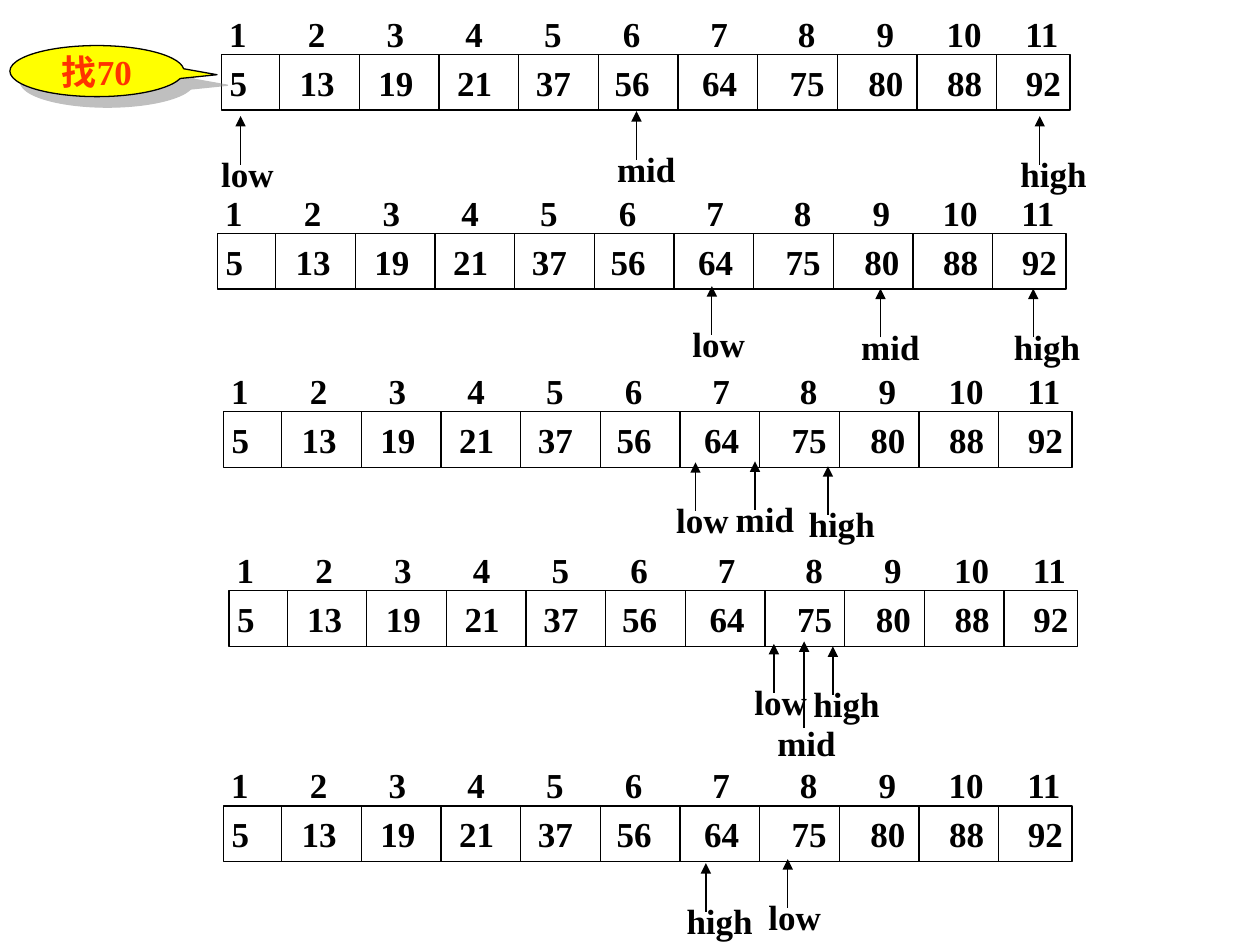
"""Draw the five steps of a binary search for 70."""
from dataclasses import dataclass
from itertools import accumulate

from lxml.etree import SubElement as Sub
from pptx import Presentation
from pptx.dml.color import RGBColor as Color
from pptx.enum.shapes import MSO_CONNECTOR as Link, MSO_SHAPE as Kind
from pptx.enum.text import MSO_ANCHOR as Anchor, PP_ALIGN as Align
from pptx.oxml.ns import qn
from pptx.util import Cm, Pt


@dataclass(frozen=True)
class Theme:
    """Colours, font and sizes."""
    ink: Color = Color(0, 0, 0)
    hot: Color = Color(0xFF, 0x33, 0x00)
    glow: Color = Color(0xFF, 0xFF, 0x00)
    shade: str = "808080"
    font: str = "Times New Roman"
    size: float = 20
    rule: float = 0.75


@dataclass(frozen=True)
class Mark:
    """A named arrow whose tip is at x, y."""
    name: str
    x: float
    y: float
    shaft: float = 0.98
    shift: float = -0.64
    drop: float = 0.61


@dataclass(frozen=True)
class Step:
    """One state of the array with its marks."""
    x: float
    y: float
    marks: tuple[Mark, ...]


THEME = Theme()
KEYS = [5, 13, 19, 21, 37, 56, 64, 75, 80, 88, 92]
KEY_GAPS = [8, 9, 9, 9, 9, 10, 10, 9, 9, 9]
SPOTS = range(1, len(KEYS) + 1)
SPOT_GAPS = [9, 9, 9, 9, 9, 10, 10, 9, 8, 9]
SPANS = {"low": 1.55, "mid": 1.68, "high": 1.83}
WIDE, HIGH = 17.1, 1.12
FIRST, LAST = 1.17, 1.48
PITCH = (WIDE - FIRST - LAST) / (len(KEYS) - 2)
STEPS = [
    Step(4.47, 1.1, (Mark("low", 4.85, 2.34), Mark("high", 20.96, 2.34),
                     Mark("mid", 12.83, 2.24))),
    Step(4.39, 4.71, (Mark("low", 14.35, 5.77), Mark("high", 20.83, 5.82),
                      Mark("mid", 17.75, 5.82))),
    Step(4.51, 8.3, (Mark("low", 14.02, 9.32), Mark("high", 16.69, 9.4),
                     Mark("mid", 15.22, 9.3))),
    Step(4.62, 11.91, (Mark("low", 15.6, 12.98), Mark("high", 16.79, 13.03),
                       Mark("mid", 16.21, 12.93, 1.75, -0.79, 1.5))),
    Step(4.51, 16.25, (Mark("low", 15.88, 17.32), Mark("high", 14.23, 17.4))),
]


def write(shape, text: str, color: Color = THEME.ink, wrap: bool = False) -> None:
    """Put bold text in a shape."""
    frame = shape.text_frame
    frame.text = text
    frame.word_wrap = wrap
    for run in frame.paragraphs[0].runs:
        font = run.font
        font.name, font.size, font.bold = THEME.font, Pt(THEME.size), True
        font.color.rgb = color


def spread(shape, items, gaps: list[int]) -> None:
    """Write items at tab stops counted in quarter ems."""
    write(shape, "\t".join(map(str, items)), wrap=True)
    para = shape.text_frame.paragraphs[0]
    para.alignment = Align.LEFT
    tabs = Sub(para._p.get_or_add_pPr(), qn("a:tabLst"))
    unit = THEME.size / 4 * 2.54 / 72
    for stop in accumulate(gaps):
        Sub(tabs, qn("a:tab"), pos=str(Cm(stop * unit)), algn="l")


def edge(shape) -> None:
    """Give a shape or line the common outline."""
    shape.line.color.rgb = THEME.ink
    shape.line.width = Pt(THEME.rule)


def rule(shapes, x: float, start: float, end: float, arrow: bool = False) -> None:
    """Draw an upright line, with an arrowhead at its end if asked."""
    line = shapes.add_connector(Link.STRAIGHT, Cm(x), Cm(start), Cm(x), Cm(end))
    edge(line)
    props = line._element.spPr
    if arrow:
        Sub(props.find(qn("a:ln")), qn("a:tailEnd"), type="triangle")
    Sub(props, qn("a:effectLst"))


def draw_mark(shapes, mark: Mark) -> None:
    """Draw an arrow and its name."""
    rule(shapes, mark.x, mark.y + mark.shaft, mark.y, arrow=True)
    label = shapes.add_textbox(Cm(mark.x + mark.shift), Cm(mark.y + mark.drop),
                               Cm(SPANS[mark.name]), Cm(HIGH))
    write(label, mark.name)
    label.text_frame.margin_right = Cm(0)


def draw_step(slide, step: Step) -> None:
    """Draw the indexes, the array and the marks of a step."""
    shapes = slide.shapes.add_group_shape().shapes
    head = shapes.add_textbox(Cm(step.x - 0.1), Cm(step.y - 0.98), Cm(17.3), Cm(HIGH))
    spread(head, SPOTS, SPOT_GAPS)
    box = shapes.add_shape(Kind.RECTANGLE, Cm(step.x), Cm(step.y), Cm(WIDE), Cm(HIGH))
    box.shadow.inherit = False
    box.fill.background()
    edge(box)
    spread(box, KEYS, KEY_GAPS)
    frame = box.text_frame
    frame.margin_left, frame.margin_right = Cm(0.16), Cm(0)
    frame.vertical_anchor = Anchor.MIDDLE
    for i in range(len(KEYS) - 1):
        rule(shapes, step.x + FIRST + i * PITCH, step.y, step.y + HIGH)
    for mark in step.marks:
        draw_mark(shapes, mark)


def draw_goal(slide) -> None:
    """Draw the callout with the wanted key."""
    goal = slide.shapes.add_shape(Kind.OVAL_CALLOUT, Cm(0.2), Cm(0.92), Cm(3.51), Cm(1.03))
    goal.adjustments[0], goal.adjustments[1] = 0.69, 0.07
    goal.fill.solid()
    goal.fill.fore_color.rgb = THEME.glow
    edge(goal)
    goal.shadow.inherit = False
    cast = Sub(goal._element.spPr.find(qn("a:effectLst")), qn("a:outerShdw"),
               dist=str(Cm(0.3)), dir="2700000", algn="ctr", rotWithShape="0")
    tint = Sub(cast, qn("a:srgbClr"), val=THEME.shade)
    Sub(tint, qn("a:alpha"), val="50000")
    write(goal, "找70", THEME.hot)
    goal.text_frame.vertical_anchor = Anchor.MIDDLE
    goal.text_frame.paragraphs[0].alignment = Align.CENTER


def main() -> None:
    """Build and save the slide."""
    deck = Presentation()
    deck.slide_width, deck.slide_height = Cm(25.4), Cm(19.05)
    slide = deck.slides.add_slide(deck.slide_layouts[6])
    for step in STEPS:
        draw_step(slide, step)
    draw_goal(slide)
    deck.save("out.pptx")


if __name__ == "__main__":
    main()
